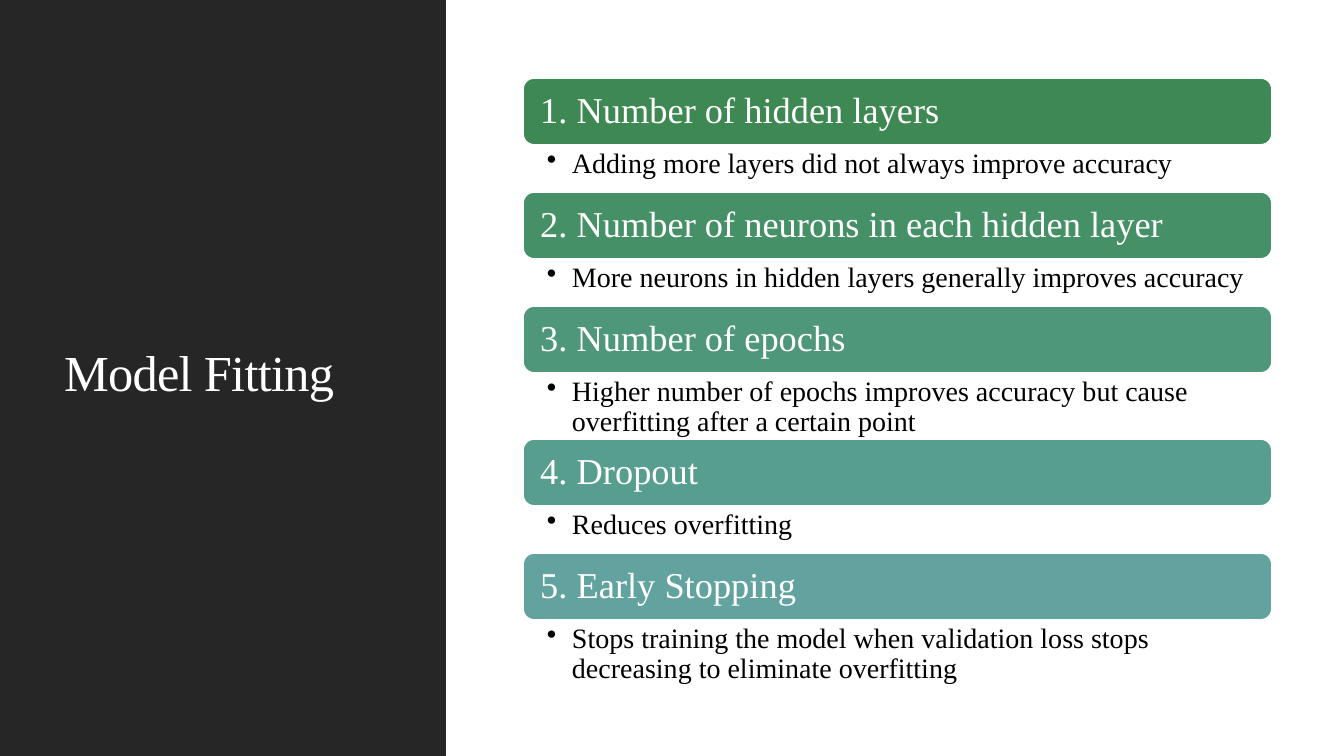
from dataclasses import dataclass

from lxml import etree
from pptx import Presentation
from pptx import util as u
from pptx.dml.color import RGBColor
from pptx.enum import shapes, text
from pptx.oxml import ns

SCALE = 914400 / 100.8  # EMU per pixel


@dataclass(frozen=True)
class Theme:
    font: str = "Times New Roman"
    panel: str = "262626"
    light: str = "FFFFFF"
    dark: str = "000000"
    bars: tuple = ("3E8853", "469067", "4E977B", "579E8E", "62A39F")
    title_size: int = 36
    heading_size: int = 26
    note_size: int = 20


THEME = Theme()

# Heading, note, note height
TOPICS = [
    ("1. Number of hidden layers",
     "Adding more layers did not always improve accuracy", 47),
    ("2. Number of neurons in each hidden layer",
     "More neurons in hidden layers generally improves accuracy", 47),
    ("3. Number of epochs",
     "Higher number of epochs improves accuracy but cause overfitting after a certain point", 66),
    ("4. Dropout", "Reduces overfitting", 47),
    ("5. Early Stopping",
     "Stops training the model when validation loss stops decreasing to eliminate overfitting", 66),
]


def px(pixels):
    return u.Emu(round(pixels * SCALE))


def rgb(value):
    return RGBColor.from_string(value)


def write(shape, words, *, size, color, insets=(10, 5, 10, 5),
          anchor=text.MSO_ANCHOR.MIDDLE, spacing=None, bullet_indent=None):
    frame = shape.text_frame
    frame.auto_size = text.MSO_AUTO_SIZE.NONE
    frame.word_wrap = True
    frame.vertical_anchor = anchor
    (frame.margin_left, frame.margin_top,
     frame.margin_right, frame.margin_bottom) = map(px, insets)
    paragraph = frame.paragraphs[0]
    paragraph.alignment = text.PP_ALIGN.LEFT
    paragraph.line_spacing = 0.9
    run = paragraph.add_run()
    run.text = words
    run.font.name = THEME.font
    run.font.size = u.Pt(size)
    run.font.color.rgb = rgb(color)
    if spacing is not None:
        run._r.get_or_add_rPr().set("spc", str(round(spacing * 100)))
    if bullet_indent:
        properties = paragraph._p.get_or_add_pPr()
        properties.set("marL", str(px(bullet_indent)))
        properties.set("indent", str(-px(bullet_indent)))
        etree.SubElement(properties, ns.qn("a:buChar")).set("char", "•")


def add_bar(slide, kind, box, fill, line=None):
    shape = slide.shapes.add_shape(kind, *map(px, box))
    shape.shadow.inherit = False
    shape.fill.solid()
    shape.fill.fore_color.rgb = rgb(fill)
    if line:
        shape.line.color.rgb = rgb(line)
        shape.line.width = u.Pt(1.25)
    else:
        shape.line.fill.background()
    return shape


def title_panel(slide, box):
    left, top, width, height = box
    panel = add_bar(slide, shapes.MSO_SHAPE.RECTANGLE, box, THEME.panel)
    slide.shapes._spTree.insert(2, panel._element)  # behind the title
    title = slide.shapes.title
    title.left, title.top = px(left + 54), px(top + 57)
    title.width, title.height = px(width - 107), px(height - 120)
    write(title, "Model Fitting", size=THEME.title_size,
          color=THEME.light, spacing=-0.5)


def topic_list(slide, box, bar_height=67):
    left, top, width, _ = box
    for (heading, note, note_height), fill in zip(TOPICS, THEME.bars):
        # Heading bar
        bar = add_bar(slide, shapes.MSO_SHAPE.ROUNDED_RECTANGLE,
                      (left, top, width, bar_height), fill, THEME.light)
        write(bar, heading, size=THEME.heading_size, color=THEME.light,
              insets=(14, 11, 14, 11))
        top += bar_height
        # Bulleted note
        note_box = slide.shapes.add_textbox(
            *map(px, (left, top, width, note_height)))
        write(note_box, note, size=THEME.note_size, color=THEME.dark,
              insets=(24, 4, 20, 4), anchor=text.MSO_ANCHOR.TOP,
              bullet_indent=25)
        top += note_height


presentation = Presentation()
presentation.slide_width, presentation.slide_height = px(1344), px(756)
slide = presentation.slides.add_slide(presentation.slide_layouts[5])
slide.background.fill.solid()
slide.background.fill.fore_color.rgb = rgb(THEME.light)
title_panel(slide, (0, 0, 446, 756))
topic_list(slide, (523, 78, 749, 608))
presentation.save("out.pptx")
